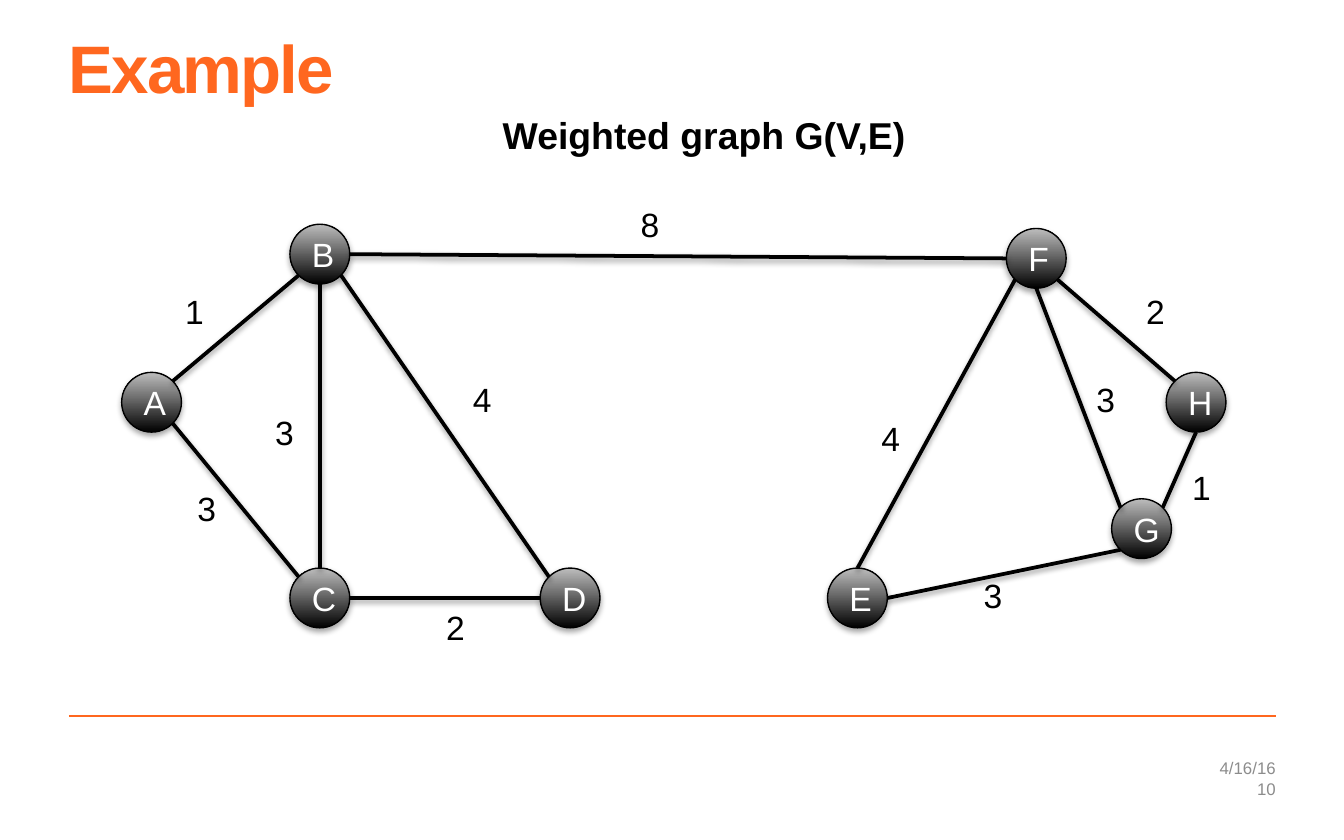
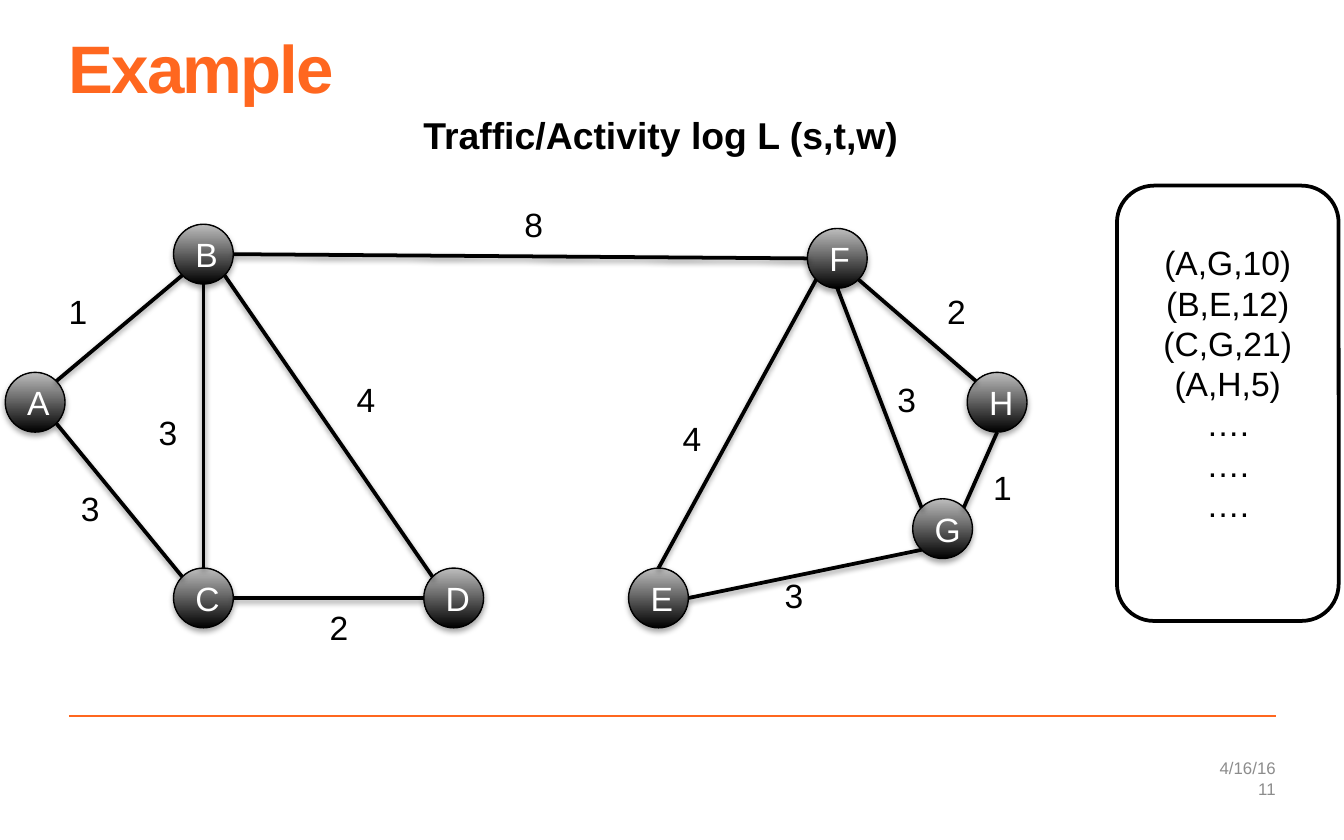
from dataclasses import dataclass
from math import cos, radians, sin

from lxml import etree
from pptx import Presentation
from pptx import util as u
from pptx.dml.color import RGBColor
from pptx.enum import shapes, text
from pptx.oxml.ns import qn


@dataclass(frozen=True)
class Theme:
    font: str = "Arial"
    accent: str = "FF671F"
    ink: str = "000000"
    paper: str = "FFFFFF"
    muted: str = "8C8C8C"
    sheen: str = "BDBDBD"
    title_size: float = 36
    heading_size: float = 20
    body_size: float = 18
    footer_size: float = 9
    edge_width: float = 2
    outline_width: float = 0.75
    rule_width: float = 1


THEME = Theme()
LEFT, RIGHT = 1.3, 24.11
DIAMETER = 1.13
LABEL_SIZE = 1.04, 1.02
DEFAULT_INSETS = 0.25, 0.13, 0.25, 0.13
NO_INSETS = 0, 0, 0, 0
FOOTER_INSETS = 0.25, 0.13, 0, 0.13

NODES = {
    "B": (5.48, 4.24),
    "D": (10.21, 10.74),
    "F": (19.02, 4.32),
    "A": (2.3, 7.04),
    "E": (15.64, 10.74),
    "C": (5.48, 10.74),
    "G": (21.01, 9.43),
    "H": (22.04, 7.04),
}
LEFT_CLUSTER = "ABCD"

SITES = ("top", "top left", "left", "bottom left",
         "bottom", "bottom right", "right", "top right")

EDGES = (
    ("B", "right", "F", "left", "8", (11.86, 3.73)),
    ("B", "bottom left", "A", "top right", "1", (3.25, 5.38)),
    ("C", "top left", "A", "bottom right", "3", (3.48, 9.09)),
    ("D", "left", "C", "right", "2", (8.18, 11.35)),
    ("E", "right", "G", "bottom left", "3", (18.34, 10.74)),
    ("G", "top right", "H", "bottom", "1", (22.28, 8.69)),
    ("H", "top left", "F", "bottom right", "2", (21.41, 5.38)),
    ("G", "top left", "F", "bottom", "3", (20.47, 7.04)),
    ("C", "top", "B", "bottom", "3", (4.95, 7.65)),
    ("E", "top", "F", "bottom left", "4", (16.41, 7.77)),
    ("D", "top left", "B", "bottom right", "4", (8.69, 7.04)),
)

LOG = ("(A,G,10)", "(B,E,12)", "(C,G,21)", "(A,H,5)", "….", "….", "….")


def rgb(value):
    return RGBColor.from_string(value)


def cm(*lengths):
    return [u.Cm(length) for length in lengths]


def write(frame, *lines, size=THEME.body_size, color=THEME.ink, bold=False,
          align=text.PP_ALIGN.LEFT, anchor=text.MSO_ANCHOR.TOP,
          insets=DEFAULT_INSETS, line_spacing=None, tracking=None):
    frame.word_wrap = True
    frame.auto_size = text.MSO_AUTO_SIZE.NONE
    frame.vertical_anchor = anchor
    (frame.margin_left, frame.margin_top,
     frame.margin_right, frame.margin_bottom) = cm(*insets)
    for index, line in enumerate(lines):
        paragraph = frame.add_paragraph() if index else frame.paragraphs[0]
        paragraph.alignment = align
        paragraph.line_spacing = line_spacing
        run = paragraph.add_run()
        run.text = line
        run.font.name = THEME.font
        run.font.size = u.Pt(size)
        run.font.bold = bold
        run.font.color.rgb = rgb(color)
        if tracking is not None:
            run.font._element.set("spc", str(round(tracking * 100)))


def add_label(slide, box, *lines, **style):
    write(slide.shapes.add_textbox(*cm(*box)).text_frame, *lines, **style)


def set_line(line, color, width):
    line.color.rgb = rgb(color)
    line.width = u.Pt(width)


def set_effects(shape, opacity=None, distance=0):
    properties = shape.element.spPr
    effects = etree.SubElement(properties, qn("a:effectLst"))
    if opacity is None:
        return
    shadow = etree.SubElement(
        effects, qn("a:outerShdw"), blurRad=str(u.Pt(3.1)),
        dist=str(u.Pt(distance)), dir="5400000", rotWithShape="0")
    tint = etree.SubElement(shadow, qn("a:srgbClr"), val=THEME.ink)
    etree.SubElement(tint, qn("a:alpha"), val=str(opacity * 1000))


def add_line(slide, start, end, color, width):
    line = slide.shapes.add_connector(
        shapes.MSO_CONNECTOR.STRAIGHT, *cm(*start, *end))
    set_line(line.line, color, width)
    return line


def add_node(slide, name, corner):
    node = slide.shapes.add_shape(
        shapes.MSO_SHAPE.OVAL, *cm(*corner, DIAMETER, DIAMETER))
    node.fill.gradient()
    node.fill.gradient_angle = 90
    for stop, color in zip(node.fill.gradient_stops, (THEME.ink, THEME.sheen)):
        stop.color.rgb = rgb(color)
    set_line(node.line, THEME.ink, THEME.outline_width)
    set_effects(node, opacity=35, distance=1.8)
    write(node.text_frame, name, color=THEME.paper,
          align=text.PP_ALIGN.CENTER, anchor=text.MSO_ANCHOR.MIDDLE)
    return node


def site_point(corner, site):
    angle = radians(45 * SITES.index(site))
    radius = DIAMETER / 2
    return (corner[0] + radius - radius * sin(angle),
            corner[1] + radius - radius * cos(angle))


def glue(edge, tag, node, site):
    joints = edge.element.xpath("p:nvCxnSpPr/p:cNvCxnSpPr")[0]
    etree.SubElement(joints, qn(tag), id=str(node.shape_id),
                     idx=str(SITES.index(site)))


def add_graph(slide, left_shift=0, right_shift=0):
    def shifted(name, point):
        shift = left_shift if name in LEFT_CLUSTER else right_shift
        return point[0] - shift, point[1]

    corners = {name: shifted(name, corner) for name, corner in NODES.items()}
    nodes = {name: add_node(slide, name, corner)
             for name, corner in corners.items()}
    for source, source_site, target, target_site, _, _ in EDGES:
        edge = add_line(slide, site_point(corners[source], source_site),
                        site_point(corners[target], target_site),
                        THEME.ink, THEME.edge_width)
        set_effects(edge, opacity=38, distance=1.6)
        glue(edge, "a:stCxn", nodes[source], source_site)
        glue(edge, "a:endCxn", nodes[target], target_site)
    for source, _, _, _, weight, corner in EDGES:
        add_label(slide, (*shifted(source, corner), *LABEL_SIZE), weight)


def add_log(slide):
    log = slide.shapes.add_shape(
        shapes.MSO_SHAPE.ROUNDED_RECTANGLE, *cm(21.11, 3.51, 4.19, 8.23))
    log.shadow.inherit = False
    log.fill.solid()
    log.fill.fore_color.rgb = rgb(THEME.paper)
    set_line(log.line, THEME.ink, THEME.edge_width)
    write(log.text_frame, *LOG, align=text.PP_ALIGN.CENTER,
          anchor=text.MSO_ANCHOR.MIDDLE, insets=(0.25, 0.13, 0.25, 0.89))


def add_example(deck, number, heading, heading_left, heading_width):
    slide = deck.slides.add_slide(deck.slide_layouts[5])
    rule = add_line(slide, (LEFT, 13.54), (RIGHT, 13.54),
                    THEME.accent, THEME.rule_width)
    set_effects(rule)
    title = slide.shapes.title
    title.left, title.top, title.width, title.height = cm(
        LEFT, 0.74, RIGHT - LEFT, 2.77)
    write(title.text_frame, "Example", size=THEME.title_size,
          color=THEME.accent, bold=True, insets=NO_INSETS,
          line_spacing=0.85, tracking=-1)
    for top, height, footer in ((14.3, 0.43, "4/16/16"), (14.73, 0.38, number)):
        add_label(slide, (14.05, top, RIGHT - 14.05, height), footer,
                  size=THEME.footer_size, color=THEME.muted,
                  align=text.PP_ALIGN.RIGHT, anchor=text.MSO_ANCHOR.MIDDLE,
                  insets=FOOTER_INSETS)
    add_label(slide, (heading_left, 2.13, heading_width, 0.86), heading,
              size=THEME.heading_size, bold=True, insets=NO_INSETS)
    return slide


def main():
    deck = Presentation()
    deck.slide_width, deck.slide_height = cm(25.4, 15.88)

    weighted = add_example(deck, "10", "Weighted graph G(V,E)", 9.5, 8.84)
    add_graph(weighted)

    traffic = add_example(deck, "11", "Traffic/Activity log L (s,t,w)", 8, 10.34)
    add_log(traffic)
    add_graph(traffic, left_shift=2.2, right_shift=3.76)

    deck.save("out.pptx")


if __name__ == "__main__":
    main()
